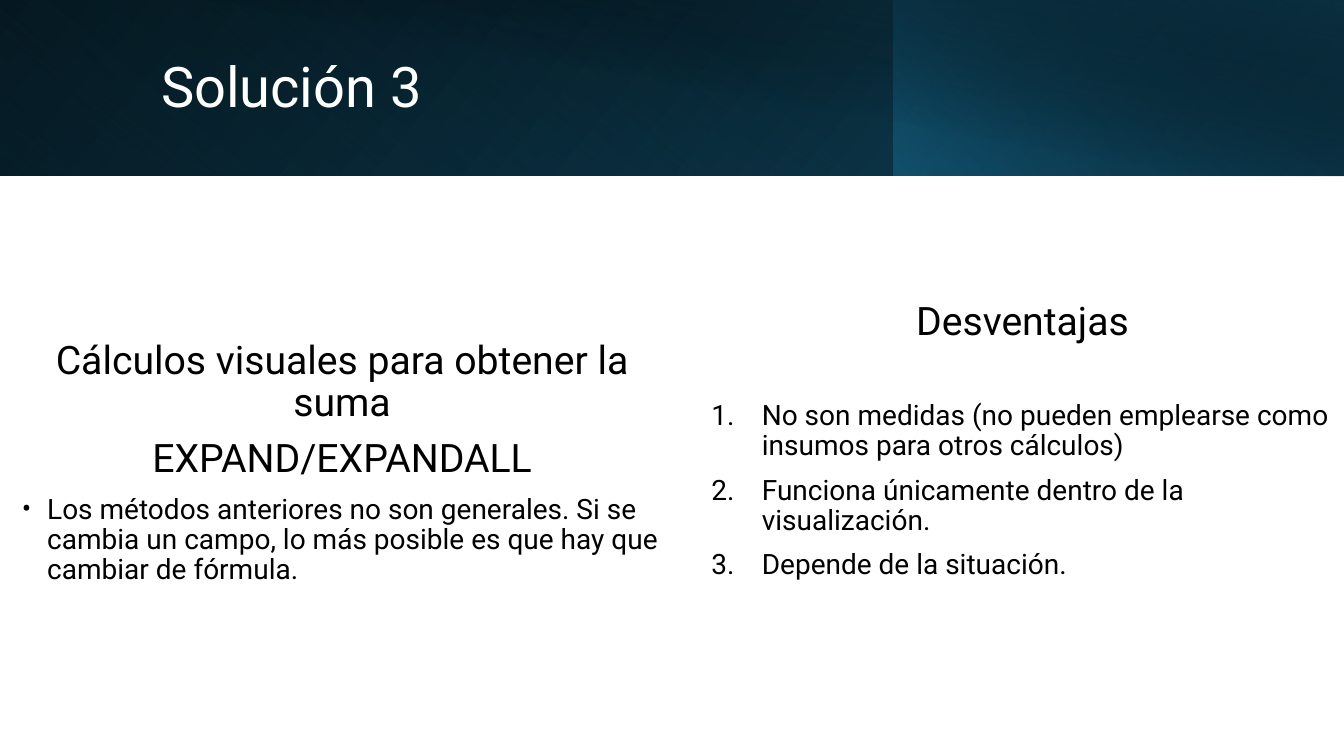
import pptx
import pptx.dml.color
import pptx.enum.shapes
import pptx.enum.text
import pptx.oxml
import pptx.oxml.ns
import pptx.util

Cm = pptx.util.Cm
Pt = pptx.util.Pt
RGBColor = pptx.dml.color.RGBColor
CENTER = pptx.enum.text.PP_ALIGN.CENTER
LEFT = pptx.enum.text.PP_ALIGN.LEFT

BLACK = RGBColor(0x00, 0x00, 0x00)
WHITE = RGBColor(0xFF, 0xFF, 0xFF)
TEAL = RGBColor(0x15, 0x60, 0x82)
MID_TEAL = RGBColor(0x10, 0x48, 0x62)
DARK_TEAL = RGBColor(0x0B, 0x30, 0x41)
FONT = "Roboto"
BULLET = '<a:buChar {} char="•"/>'
NUMBER = '<a:buAutoNum {} type="arabicPeriod"/>'


def add_gradient_band(slide, left, width, height, stops, angle, flipped=True, rotation=0):
    shape = slide.shapes.add_shape(
        pptx.enum.shapes.MSO_SHAPE.RECTANGLE, Cm(left), 0, Cm(width), Cm(height))
    shape.shadow.inherit = False
    shape.line.fill.background()
    shape.rotation = rotation
    if flipped:
        shape._element.spPr.find(pptx.oxml.ns.qn("a:xfrm")).set("flipH", "1")
    shape.fill.gradient()
    gradient = shape._element.spPr.find(pptx.oxml.ns.qn("a:gradFill"))
    stop_xml = "".join(
        f'<a:gs pos="{position * 1000}"><a:srgbClr val="{color}">'
        f'<a:alpha val="{alpha * 1000}"/></a:srgbClr></a:gs>'
        for position, color, alpha in stops)
    gradient.getparent().replace(gradient, pptx.oxml.parse_xml(
        f'<a:gradFill {pptx.oxml.ns.nsdecls("a")} rotWithShape="1">'
        f'<a:gsLst>{stop_xml}</a:gsLst>'
        f'<a:lin ang="{angle * 60000}" scaled="0"/></a:gradFill>'))


def add_text_area(slide, left, top, width, height):
    box = slide.shapes.add_textbox(Cm(left), Cm(top), Cm(width), Cm(height))
    text_frame = box.text_frame
    text_frame.word_wrap = True
    text_frame.vertical_anchor = pptx.enum.text.MSO_ANCHOR.MIDDLE
    return text_frame


def format_paragraph(paragraph, size, color=BLACK, alignment=LEFT, before=10):
    paragraph.alignment = alignment
    paragraph.line_spacing = 0.9
    paragraph.space_before = Pt(before)
    for run in paragraph.runs:
        run.font.name = FONT
        run.font.size = Pt(size)
        run.font.color.rgb = color


def add_list_marker(paragraph, marker, indent):
    properties = paragraph._p.get_or_add_pPr()
    properties.set("marL", str(Cm(indent)))
    properties.set("indent", str(-Cm(indent)))
    namespace = pptx.oxml.ns.nsdecls("a")
    properties.append(pptx.oxml.parse_xml(f'<a:buFont {namespace} typeface="{FONT}"/>'))
    properties.append(pptx.oxml.parse_xml(marker.format(namespace)))


def add_column(slide, left, width, headings, items, marker, indent, first_item_gap=10):
    text_frame = add_text_area(slide, left, 4.8, width, 13.74)
    text_frame.text = "\n".join(headings + items)
    paragraphs = text_frame.paragraphs
    for paragraph in paragraphs[:len(headings)]:
        format_paragraph(paragraph, 28, alignment=CENTER)
    for index, paragraph in enumerate(paragraphs[len(headings):]):
        format_paragraph(paragraph, 20, before=10 if index else first_item_gap)
        add_list_marker(paragraph, marker, indent)
    return text_frame


def add_header(slide):
    add_gradient_band(slide, 0, 33.87, 4.42, [(0, BLACK, 100), (100, MID_TEAL, 100)], 140)
    add_gradient_band(slide, 0, 22.55, 4.42, [(20, TEAL, 0), (100, DARK_TEAL, 55)], 230,
                      rotation=180)
    add_gradient_band(slide, 22.53, 11.33, 4.42, [(0, TEAL, 66), (100, BLACK, 30)], 220)
    add_gradient_band(slide, 1.27, 32.6, 4.45, [(50, BLACK, 0), (99, DARK_TEAL, 52)], 280,
                      flipped=False)
    title = add_text_area(slide, 3.81, 0.81, 27.48, 2.87)
    title.text = "Solución 3"
    format_paragraph(title.paragraphs[0], 40, WHITE, before=0)


def main():
    presentation = pptx.Presentation()
    presentation.slide_width = Cm(33.87)
    presentation.slide_height = Cm(19.05)
    slide = presentation.slides.add_slide(presentation.slide_layouts[6])
    add_header(slide)
    add_column(
        slide, 0.3, 16.64,
        ["Cálculos visuales para obtener la suma", "EXPAND/EXPANDALL"],
        ["Los métodos anteriores no son generales. Si se cambia un campo, "
         "lo más posible es que hay que cambiar de fórmula."],
        BULLET, 0.64)
    drawbacks = add_column(
        slide, 17.68, 16.18,
        ["Desventajas"],
        ["No son medidas (no pueden emplearse como insumos para otros cálculos)",
         "Funciona únicamente dentro de la visualización.",
         "Depende de la situación."],
        NUMBER, 1.27, first_item_gap=41)
    drawbacks.margin_bottom = Cm(1.23)
    presentation.save("out.pptx")


if __name__ == "__main__":
    main()
